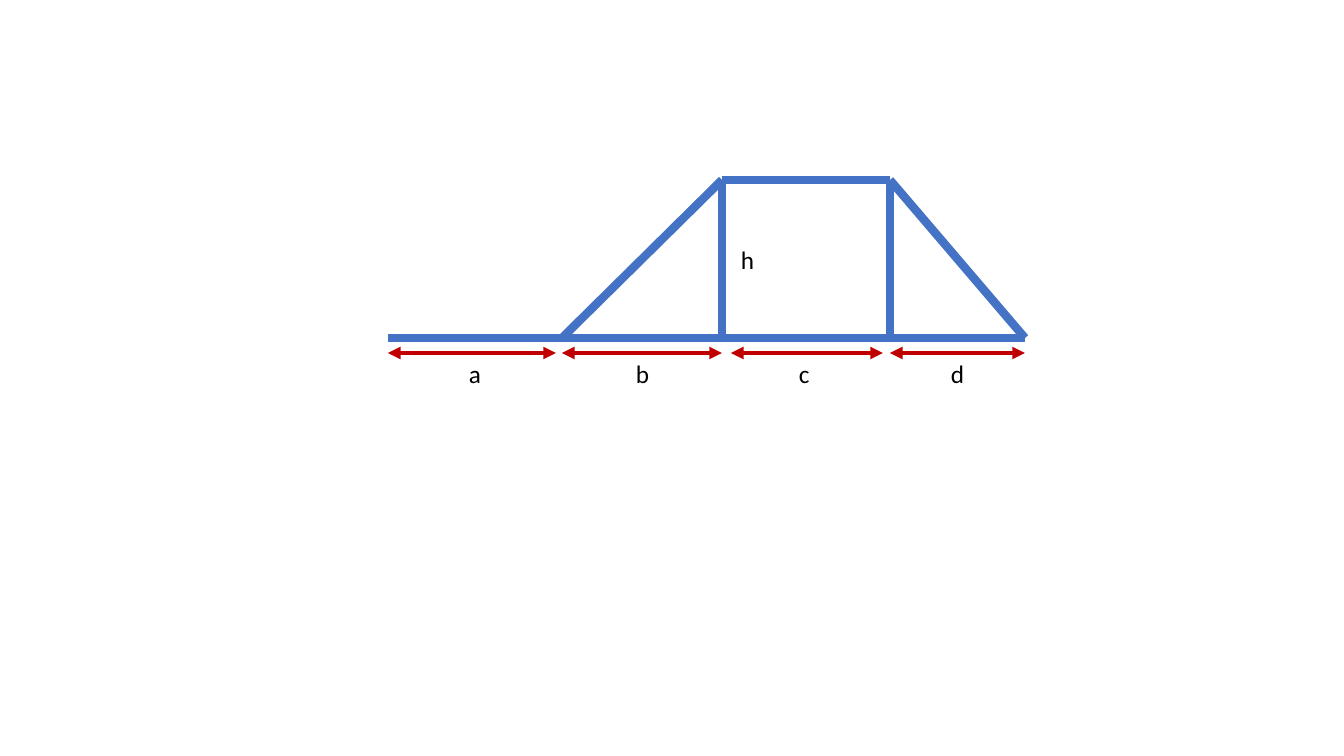
"""Draw a truss with its bay widths and its height marked."""
from lxml import etree
from pptx import Presentation
from pptx.dml.color import RGBColor
from pptx.enum.shapes import MSO_CONNECTOR
from pptx.enum.text import MSO_AUTO_SIZE
from pptx.oxml.ns import qn
from pptx.util import Pt

STRAIGHT = MSO_CONNECTOR.STRAIGHT
FIT_SHAPE = MSO_AUTO_SIZE.SHAPE_TO_FIT_TEXT
PX = 914400 / 100.8
COLORS = {"member": "4472C4", "dimension": "C00000", "label": "000000"}
FONT, LABEL_SIZE = "Calibri", 18
LABEL_HEIGHT = 40

TOP, BASE, DIMENSION_Y = 180, 338, 353
JOINTS = {
    "start": (388, BASE),
    "left foot": (562, BASE),
    "left base": (722, BASE),
    "left top": (722, TOP),
    "right base": (890, BASE),
    "right top": (890, TOP),
    "end": (1025, BASE),
}
MEMBERS = [
    ("start", "end"),
    ("left foot", "left top"),
    ("left top", "right top"),
    ("right top", "end"),
    ("left top", "left base"),
    ("right top", "right base"),
]
DIMENSIONS = [(388, 556), (562, 722), (731, 883), (890, 1025)]
LABELS = [
    ("a", 459, DIMENSION_Y, 32),
    ("b", 626, DIMENSION_Y, 34),
    ("c", 789, DIMENSION_Y, 31),
    ("d", 941, DIMENSION_Y, 34),
    ("h", 731, 239, 34),
]


def emu(*pixels):
    return [round(value * PX) for value in pixels]


def add_line(shapes, start, end, color, width, arrows=False):
    line = shapes.add_connector(STRAIGHT, *emu(*start, *end))
    line.line.color.rgb = RGBColor.from_string(COLORS[color])
    line.line.width = Pt(width)
    if arrows:
        outline = line.line._get_or_add_ln()
        for tip in ("a:headEnd", "a:tailEnd"):
            etree.SubElement(outline, qn(tip), type="triangle")
    etree.SubElement(line._element.spPr, qn("a:effectLst"))


def add_label(shapes, text, left, top, width):
    label = shapes.add_textbox(*emu(left, top, width, LABEL_HEIGHT))
    frame = label.text_frame
    frame.word_wrap = False
    frame.auto_size = FIT_SHAPE
    paragraph = frame.paragraphs[0]
    paragraph.text = text
    paragraph.font.name = FONT
    paragraph.font.size = Pt(LABEL_SIZE)
    paragraph.font.color.rgb = RGBColor.from_string(COLORS["label"])


deck = Presentation()
deck.slide_width, deck.slide_height = emu(1344, 756)
slide = deck.slides.add_slide(deck.slide_layouts[6])
truss = slide.shapes.add_group_shape().shapes

for start, end in MEMBERS:
    add_line(truss, JOINTS[start], JOINTS[end], "member", 6)
for left, right in DIMENSIONS:
    add_line(truss, (left, DIMENSION_Y), (right, DIMENSION_Y), "dimension", 3, True)
for label in LABELS:
    add_label(truss, *label)

deck.save("out.pptx")
